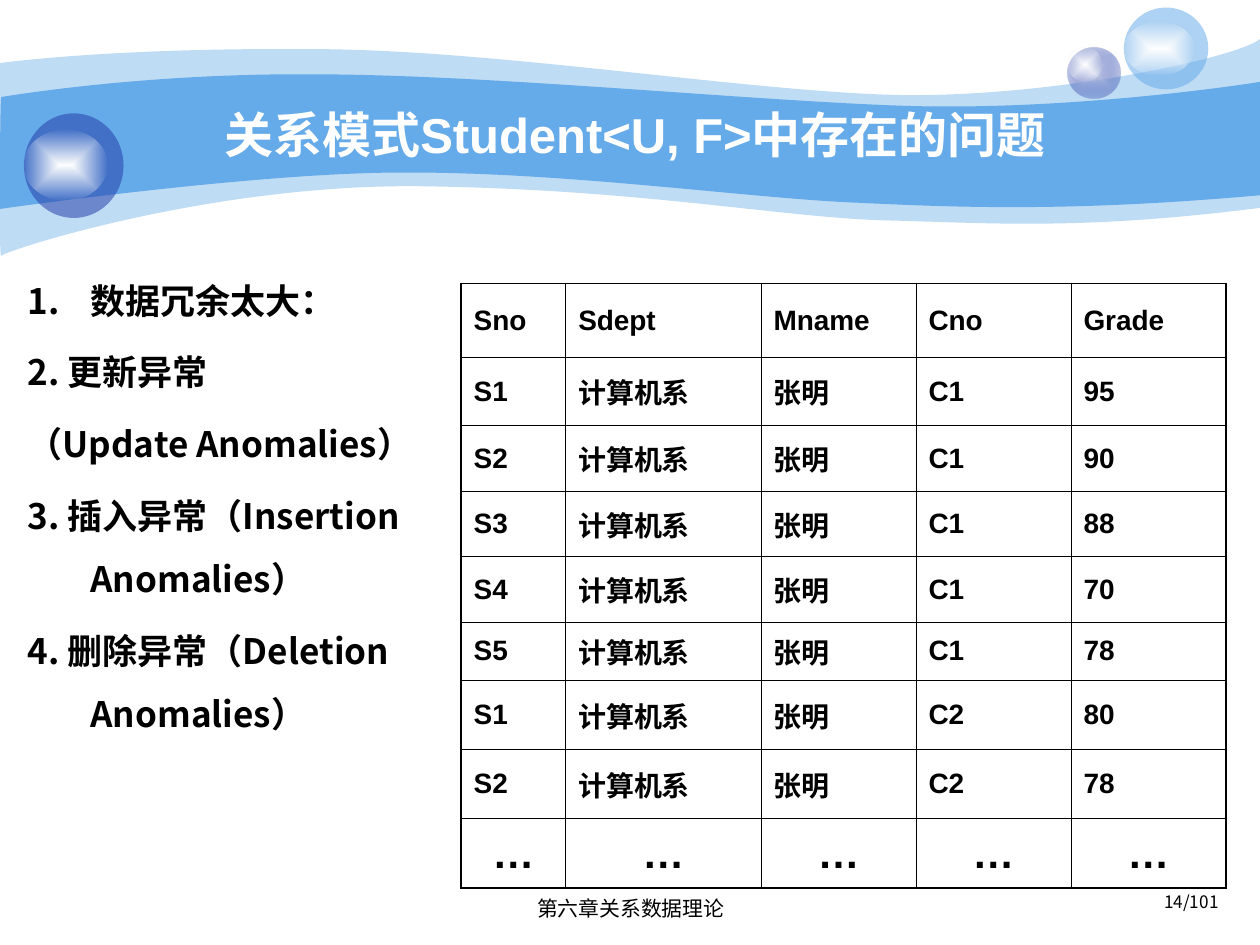
from lxml import etree
from pptx import Presentation
from pptx.dml.color import RGBColor
from pptx.enum import shapes, text
from pptx.oxml import parse_xml
from pptx.oxml.ns import nsdecls, qn
from pptx.util import Inches, Pt

COLORS = {"sky": "65AAE9", "navy": "233DA9", "pale": "C7CEE9",
          "white": "FFFFFF", "black": "000000"}
SANS, CJK = "Arial", "Noto Sans CJK SC"

# Content
TITLE = "关系模式Student<U, F>中存在的问题"
FOOTER = "第六章关系数据理论"
PAGE = "14/101"
PROBLEMS = ["数据冗余太大：", "2. 更新异常", "（Update Anomalies）",
            "3. 插入异常（Insertion Anomalies）", "4. 删除异常（Deletion Anomalies）"]
HEADER = ["Sno", "Sdept", "Mname", "Cno", "Grade"]
GRADES = [("S1", "C1", "95"), ("S2", "C1", "90"), ("S3", "C1", "88"),
          ("S4", "C1", "70"), ("S5", "C1", "78"), ("S1", "C2", "80"),
          ("S2", "C2", "78")]
ROWS = [HEADER]
ROWS += [[student, "计算机系", "张明", course, grade] for student, course, grade in GRADES]
ROWS += [["…"] * len(HEADER)]
COLUMN_WIDTHS = [0.83, 1.55, 1.23, 1.23, 1.23]
ROW_HEIGHTS = [0.59, 0.54, 0.52, 0.52, 0.52, 0.46, 0.55, 0.55, 0.55]
THIN, THICK = 0.45, 1.08

# Waves: alpha, start point, then cubic curves (six numbers) and lines (two)
WAVES = [
    (41, (0, 0.5),
     [(0.24, 0.47, 1.07, 0.38, 2.47, 0.39), (3.86, 0.39, 5.75, 0.7, 6.99, 0.75),
      (8.22, 0.8, 9.8, 0.47, 10, 0.31), (10, 1.65),
      (8.58, 1.83, 7.87, 1.77, 7.05, 1.75), (6.22, 1.73, 5.15, 1.51, 3.43, 1.48),
      (1.72, 1.44, 0.04, 1.99, 0.01, 2.03), (-0.01, 2.08, 0, 0.75, 0, 0.5)]),
    (100, (0.01, 0.77),
     [(0.02, 0.77, 1.1, 0.58, 2.48, 0.59), (3.86, 0.59, 5.95, 0.8, 7.18, 0.84),
      (8.41, 0.88, 9.76, 0.69, 10, 0.65), (10, 1.55),
      (8.53, 1.68, 7.65, 1.65, 6.82, 1.61), (5.99, 1.58, 4.47, 1.36, 3.17, 1.37),
      (2.03, 1.37, -0.02, 1.66, -0.01, 1.66), (0, 1.66, 0, 0.77, 0.01, 0.77)]),
]

# Bubbles: box, then (colour, alpha) of a solid or of gradient centre and rim
GLINT = [("white", 100), ("white", 0)]
BUBBLES = [
    ((8.47, 0.38, 0.42, 0.4), [("pale", 100), ("navy", 31)]),
    ((8.47, 0.38, 0.28, 0.27), GLINT),
    ((8.92, 0.06, 0.67, 0.65), [("sky", 53)]),
    ((8.92, 0.17, 0.56, 0.43), GLINT),
    ((0.19, 0.9, 0.79, 0.83), [("navy", 53)]),
    ((0.19, 1.03, 0.66, 0.56), GLINT),
]


def rgb(name):
    return RGBColor.from_string(COLORS[name])


def color_xml(name, alpha):
    return f'<a:srgbClr val="{COLORS[name]}"><a:alpha val="{alpha * 1000}"/></a:srgbClr>'


def paint(shape, stops):
    """Fill with one see-through colour, or with a gradient from the centre."""
    shape.shadow.inherit = False
    shape.line.fill.background()
    shape.fill.solid()
    if len(stops) == 1:
        xml = f'<a:solidFill {nsdecls("a")}>{color_xml(*stops[0])}</a:solidFill>'
    else:
        marks = "".join(f'<a:gs pos="{position}">{color_xml(*stop)}</a:gs>'
                        for position, stop in zip((0, 100000), stops))
        xml = (f'<a:gradFill {nsdecls("a")} rotWithShape="1"><a:gsLst>{marks}</a:gsLst>'
               '<a:path path="rect"><a:fillToRect l="50000" t="50000" r="50000" b="50000"/>'
               '</a:path></a:gradFill>')
    properties = shape._element.spPr
    properties.replace(properties.find(qn("a:solidFill")), parse_xml(xml))


def add_wave(slide, start, segments):
    """Draw the outline through the end points, then bend its sides into curves."""
    builder = slide.shapes.build_freeform(*map(Inches, start))
    builder.add_line_segments([tuple(map(Inches, segment[-2:])) for segment in segments])
    shape = builder.convert_to_shape()
    sides = list(shape._element.iter(qn("a:lnTo")))
    for side, segment in zip(sides, segments):
        if len(segment) == 2:
            continue
        side.tag = qn("a:cubicBezTo")
        for index in (0, 2):
            x, y = map(Inches, segment[index:index + 2])
            point = etree.Element(qn("a:pt"), x=str(x - shape.left), y=str(y - shape.top))
            side.insert(index // 2, point)
    return shape


def write(paragraph, words, font, color="black", **formats):
    run = paragraph.add_run()
    run.text = words
    for name, value in {"name": font, **formats}.items():
        setattr(run.font, name, value)
    run.font.color.rgb = rgb(color)
    if font == CJK:
        etree.SubElement(run._r.get_or_add_rPr(), qn("a:ea"), typeface=font)


def add_text_frame(slide, box, anchor=text.MSO_ANCHOR.TOP):
    frame = slide.shapes.add_textbox(*map(Inches, box)).text_frame
    frame.word_wrap = True
    frame.vertical_anchor = anchor
    return frame


def add_border(cell, side, width):
    line = etree.SubElement(cell._tc.get_or_add_tcPr(), qn(f"a:ln{side}"),
                            w=str(int(Pt(width))))
    fill = etree.SubElement(line, qn("a:solidFill"))
    etree.SubElement(fill, qn("a:srgbClr"), val=COLORS["black"])


presentation = Presentation()
presentation.slide_width, presentation.slide_height = Inches(10), Inches(7.5)
slide = presentation.slides.add_slide(presentation.slide_layouts[6])

# Banner waves and bubbles
for alpha, start, segments in WAVES:
    paint(add_wave(slide, start, segments), [("sky", alpha)])
for box, stops in BUBBLES:
    paint(slide.shapes.add_shape(shapes.MSO_SHAPE.OVAL, *map(Inches, box)), stops)

# Page number, footer and title
paragraph = add_text_frame(slide, (7.44, 7.06, 2.33, 0.29)).paragraphs[0]
paragraph.alignment, paragraph.line_spacing = text.PP_ALIGN.RIGHT, 0.8
write(paragraph, PAGE, CJK, size=Pt(9.8))
paragraph = add_text_frame(slide, (3.42, 7.06, 3.17, 0.32)).paragraphs[0]
paragraph.alignment = text.PP_ALIGN.CENTER
write(paragraph, FOOTER, SANS, size=Pt(11.9))
paragraph = add_text_frame(slide, (1, 0.75, 8.08, 0.62), text.MSO_ANCHOR.MIDDLE).paragraphs[0]
paragraph.alignment = text.PP_ALIGN.CENTER
write(paragraph, TITLE, SANS, "white", size=Pt(28), bold=True)

# List of problems, the first numbered automatically
frame = add_text_frame(slide, (0.12, 2, 4.42, 4.03))
for index, problem in enumerate(PROBLEMS):
    paragraph = frame.add_paragraph() if index else frame.paragraphs[0]
    paragraph.line_spacing = 1.5
    properties = paragraph._p.get_or_add_pPr()
    properties.set("marL", str(Inches(0.5)))
    properties.set("indent", str(-Inches(0.5)))
    if index:
        paragraph.space_before = Pt(5)
    else:
        etree.SubElement(properties, qn("a:buAutoNum"), type="arabicPeriod")
    write(paragraph, problem, CJK, size=Pt(20), bold=True)

# Grades table with a heavier outer frame
last_row, last_column = len(ROWS) - 1, len(HEADER) - 1
table = slide.shapes.add_table(
    len(ROWS), len(HEADER), Inches(3.66), Inches(2.25),
    Inches(sum(COLUMN_WIDTHS)), Inches(sum(ROW_HEIGHTS))).table
table.first_row = table.horz_banding = False
for column, width in zip(table.columns, COLUMN_WIDTHS):
    column.width = Inches(width)
for r, (row, height) in enumerate(zip(ROWS, ROW_HEIGHTS)):
    table.rows[r].height = Inches(height)
    for c, words in enumerate(row):
        cell = table.cell(r, c)
        cell.vertical_anchor = text.MSO_ANCHOR.MIDDLE
        outer = {"L": c == 0, "R": c == last_column, "T": r == 0, "B": r == last_row}
        for side, is_outer in outer.items():
            add_border(cell, side, THICK if is_outer else THIN)
        cell.fill.background()
        paragraph = cell.text_frame.paragraphs[0]
        if r == last_row:
            paragraph.alignment = text.PP_ALIGN.CENTER
        write(paragraph, words, SANS, size=Pt(24 if r == last_row else 16), bold=True)

presentation.save("out.pptx")
